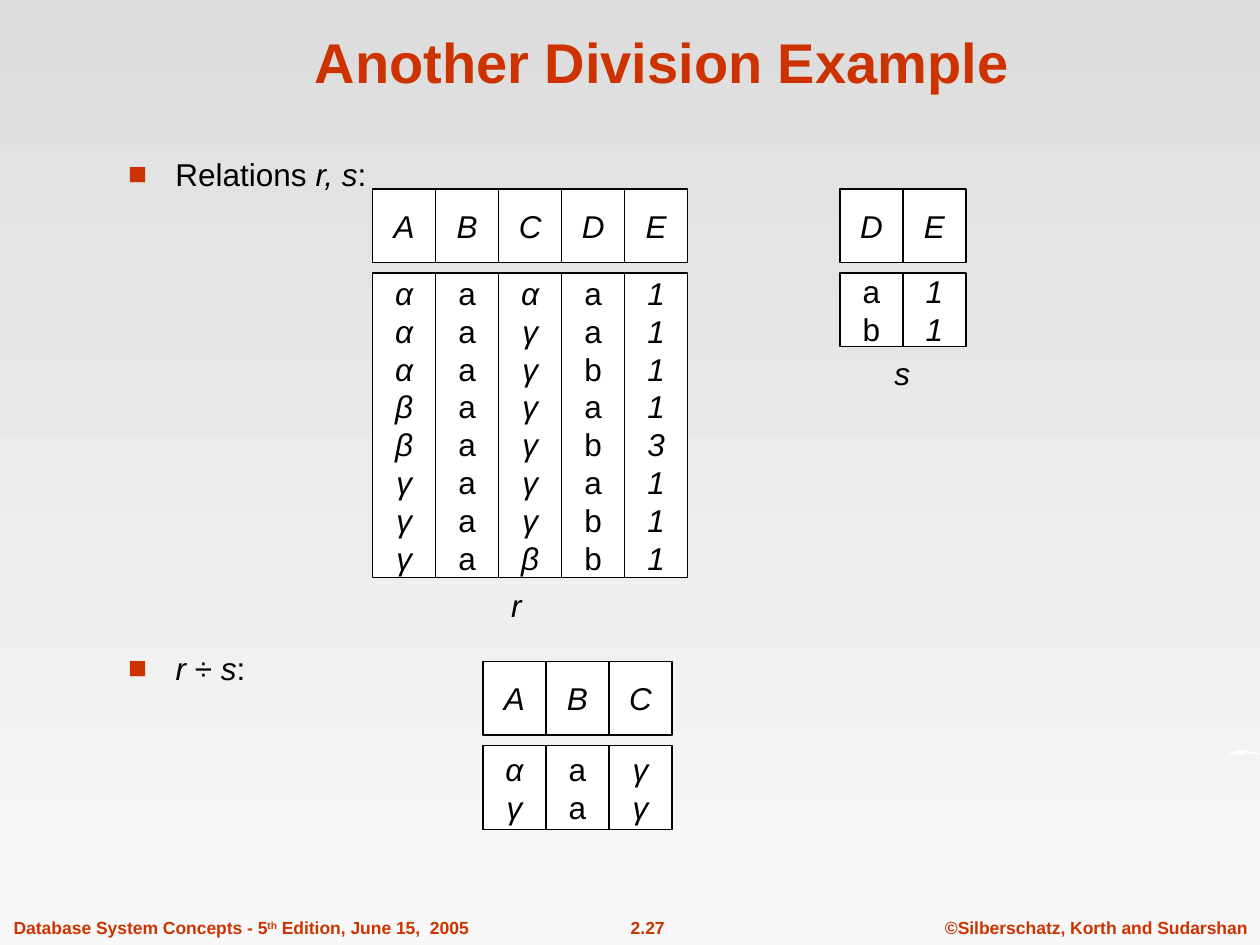
from dataclasses import dataclass

from lxml import etree
from pptx import Presentation
from pptx.dml.color import RGBColor
from pptx.enum.shapes import MSO_SHAPE
from pptx.enum.text import MSO_ANCHOR, MSO_AUTO_SIZE, PP_ALIGN
from pptx.oxml.ns import qn
from pptx.util import Pt

RECTANGLE = MSO_SHAPE.RECTANGLE
TOP, MIDDLE, BOTTOM = MSO_ANCHOR.TOP, MSO_ANCHOR.MIDDLE, MSO_ANCHOR.BOTTOM
LEFT, CENTER = PP_ALIGN.LEFT, PP_ALIGN.CENTER
FIT_SHAPE = MSO_AUTO_SIZE.SHAPE_TO_FIT_TEXT


@dataclass(frozen=True)
class Theme:
    font: str = "Arial"
    accent: RGBColor = RGBColor(0xCC, 0x33, 0x00)
    ink: RGBColor = RGBColor(0, 0, 0)
    paper: RGBColor = RGBColor(0xFF, 0xFF, 0xFF)
    backdrop: tuple = (RGBColor(0xDD, 0xDD, 0xDD), RGBColor(0xF8, 0xF8, 0xF8))
    title: int = 32
    body: int = 18
    footer: int = 10


class SlideBuilder:
    COLUMN = 36
    HEADER = 42
    BODY_OFFSET = 48

    def __init__(self, slide, theme):
        self.slide = slide
        self.theme = theme

    def background(self):
        fill = self.slide.background.fill
        fill.gradient()
        fill.gradient_angle = 270
        for stop, color in zip(fill.gradient_stops, self.theme.backdrop):
            stop.color.rgb = color

    def style(self, paragraph, size, color, align=CENTER, bold=False, before=0):
        paragraph.alignment = align
        paragraph.space_before = Pt(before)
        font = paragraph.font
        font.name, font.size, font.bold = self.theme.font, Pt(size), bold
        font.color.rgb = color

    def text(self, box, runs, size, color, align=CENTER, bold=False,
             before=0, anchor=TOP, wrap=False):
        textbox = self.slide.shapes.add_textbox(*map(Pt, box))
        frame = textbox.text_frame
        frame.word_wrap = wrap
        frame.vertical_anchor = anchor
        if not wrap:
            frame.auto_size = FIT_SHAPE
        paragraph = frame.paragraphs[0]
        self.style(paragraph, size, color, align, bold, before)
        for content, mark in runs:
            run = paragraph.add_run()
            run.text = content
            if mark == "italic":
                run.font.italic = True
            elif mark == "super":
                run._r.get_or_add_rPr().set("baseline", "30000")
        return paragraph

    def title(self, content):
        self.text((60.5, 9.4, 635.8, 48.2), [(content, "")], self.theme.title,
                  self.theme.accent, bold=True, anchor=BOTTOM, wrap=True)

    def footer(self, left, width, runs, align=CENTER):
        self.text((left, 520.6, width, 19.4), runs, self.theme.footer,
                  self.theme.accent, align, bold=True, before=6.2)

    def caption(self, left, top, width, name):
        self.text((left, top, width, 28.8), [(name, "italic")],
                  self.theme.body, self.theme.ink, before=11.2, anchor=MIDDLE)

    def bullet(self, top, width, runs):
        paragraph = self.text((66.2, top, width, 26), runs, self.theme.body,
                              self.theme.ink, LEFT, before=7.9, wrap=True)
        properties = paragraph._p.get_or_add_pPr()
        properties.set("marL", str(Pt(27)))
        properties.set("indent", str(Pt(-27)))
        color = etree.SubElement(properties, qn("a:buClr"))
        etree.SubElement(color, qn("a:srgbClr"), val=str(self.theme.accent))
        etree.SubElement(properties, qn("a:buFont"), typeface=self.theme.font)
        etree.SubElement(properties, qn("a:buChar"), char="■")
        defaults = properties.find(qn("a:defRPr"))
        properties.append(defaults)

    def cell(self, left, top, height, values):
        shape = self.slide.shapes.add_shape(
            RECTANGLE, Pt(left), Pt(top), Pt(self.COLUMN), Pt(height))
        shape.shadow.inherit = False
        shape.fill.solid()
        shape.fill.fore_color.rgb = self.theme.paper
        shape.line.color.rgb = self.theme.ink
        shape.line.width = Pt(0.75)
        frame = shape.text_frame
        frame.word_wrap = False
        frame.vertical_anchor = MIDDLE
        frame.text = "\n".join(values)
        for paragraph, value in zip(frame.paragraphs, values):
            self.style(paragraph, self.theme.body, self.theme.ink)
            paragraph.font.italic = value not in "ab"

    def relation(self, left, top, body_height, columns):
        for index, (attribute, values) in enumerate(columns.items()):
            x = left + index * self.COLUMN
            self.cell(x, top, self.HEADER, attribute)
            self.cell(x, top + self.BODY_OFFSET, body_height, values)

    def swoosh(self, outline):
        start, *rest = [(Pt(x), Pt(y)) for x, y in outline]
        builder = self.slide.shapes.build_freeform(*start)
        builder.add_line_segments(rest, close=True)
        shape = builder.convert_to_shape()
        shape.shadow.inherit = False
        shape.fill.solid()
        shape.fill.fore_color.rgb = self.theme.paper
        shape.line.fill.background()


def main():
    deck = Presentation()
    deck.slide_width, deck.slide_height = Pt(720), Pt(540)
    page = SlideBuilder(deck.slides.add_slide(deck.slide_layouts[6]), Theme())

    page.background()
    page.footer(532.8, 187.2, [("©Silberschatz, Korth and Sudarshan", "")])
    page.footer(334.8, 70.6, [("2.27", "")])
    page.footer(0.7, 274.3, [("Database System Concepts - 5", ""),
                             ("th", "super"),
                             (" Edition, June 15,  2005", "")], LEFT)
    page.swoosh([(702, 432.7), (703, 430.6), (705, 429.4), (708.5, 428.6),
                 (711, 428.6), (714, 429.4), (718, 430), (720, 430.6),
                 (719, 431.3), (715, 430.7), (711.4, 430), (711.4, 432),
                 (709.2, 430), (709.2, 432), (707, 430), (707.8, 432),
                 (705.6, 430.6), (703.5, 431.4)])

    page.title("Another Division Example")
    page.bullet(85, 167.8, [("Relations ", ""), ("r, s", "italic"), (":", "")])
    page.relation(213, 108, 174, {"A": "αααββγγγ", "B": "aaaaaaaa",
                                  "C": "αγγγγγγβ", "D": "aababab" "b",
                                  "E": "11113111"})
    page.caption(285, 331.2, 20.2, "r")
    page.relation(480, 108, 42, {"D": "ab", "E": "11"})
    page.caption(504, 198.7, 23, "s")

    page.bullet(367.2, 102.2, [("r ", "italic"), ("÷ ", ""),
                               ("s", "italic"), (":", "")])
    page.relation(276, 378, 48, {"A": "αγ", "B": "aa", "C": "γγ"})
    deck.save("out.pptx")


if __name__ == "__main__":
    main()
